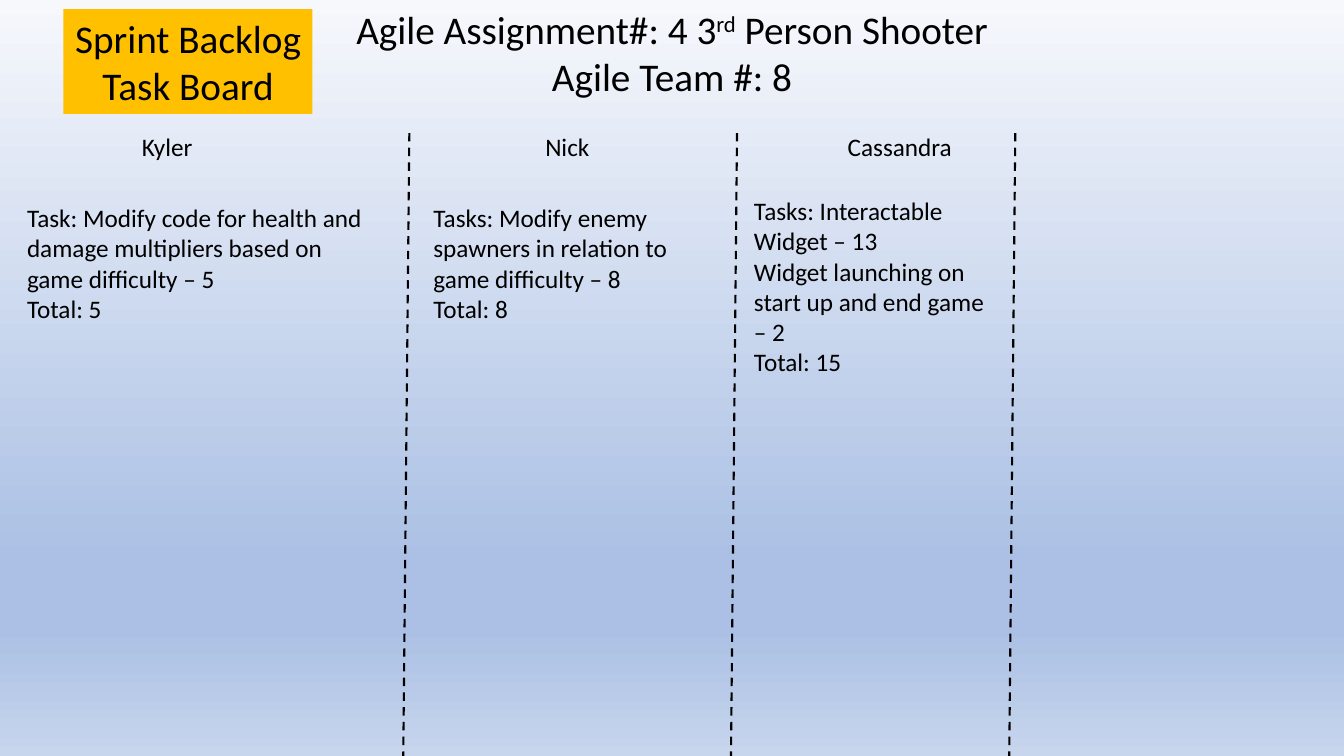
from dataclasses import dataclass

from lxml.etree import SubElement
from pptx import Presentation
from pptx.dml.color import RGBColor as RGB
from pptx.enum.dml import MSO_LINE as Dash
from pptx.enum.shapes import MSO_CONNECTOR as Link, MSO_SHAPE as Shape
from pptx.enum.text import MSO_ANCHOR as Anchor, PP_ALIGN as Align
from pptx.oxml.ns import qn
from pptx.util import Inches, Pt


@dataclass(frozen=True)
class Theme:
    """Colours, font and type sizes of the board."""
    font: str = "Calibri"
    ink: str = "000000"
    badge: str = "FFC000"
    sky: tuple = ((0, "F6F8FC"), (74, "ABC0E4"), (83, "ABC0E4"), (100, "C7D5ED"))
    head: int = 28
    body: int = 18
    rule: float = 1.5


class Board:
    """Holds the theme and the slide, and draws each kind of element."""

    def __init__(self, deck, theme):
        """Add a title-only slide."""
        self.theme = theme
        self.slide = deck.slides.add_slide(deck.slide_layouts[5])
        self.shapes = self.slide.shapes

    def sky(self):
        """Fill the background with a gradient from top to bottom."""
        fill = self.slide.background.fill
        fill.gradient()
        fill.gradient_angle = 270
        stops = next(self.slide.element.iter(qn("a:gsLst")))
        for old in list(stops):
            stops.remove(old)
        for pos, tint in self.theme.sky:
            stop = SubElement(stops, qn("a:gs"), pos=str(pos * 1000))
            SubElement(stop, qn("a:srgbClr"), val=tint)

    def label(self, frame, lines, size, align=Align.LEFT, wrap=True):
        """Set the lines of a frame; a line may be a list of runs."""
        frame.word_wrap = wrap
        frame.vertical_anchor = Anchor.TOP
        frame.text = "\n".join("".join(line) for line in lines)
        for para, line in zip(frame.paragraphs, lines):
            para.alignment = align
            if not isinstance(line, str):
                para.clear()
                for part in line:
                    para.add_run().text = part
            for run in para.runs:
                run.font.name = self.theme.font
                run.font.size = Pt(size)
                run.font.color.rgb = RGB.from_string(self.theme.ink)

    def title(self, box, lines):
        """Place and fill the title; return its frame."""
        shape = self.shapes.title
        shape.left, shape.top, shape.width, shape.height = map(Inches, box)
        self.label(shape.text_frame, lines, self.theme.head, Align.CENTER, False)
        return shape.text_frame

    def text(self, box, lines, wrap=True):
        """Add a body text box."""
        shape = self.shapes.add_textbox(*map(Inches, box))
        self.label(shape.text_frame, lines, self.theme.body, wrap=wrap)

    def badge(self, box, lines):
        """Add a filled label without outline."""
        shape = self.shapes.add_shape(Shape.RECTANGLE, *map(Inches, box))
        shape.shadow.inherit = False
        shape.fill.solid()
        shape.fill.fore_color.rgb = RGB.from_string(self.theme.badge)
        shape.line.fill.background()
        self.label(shape.text_frame, lines, self.theme.head, Align.CENTER, False)

    def rule(self, *ends):
        """Add a dashed divider."""
        link = self.shapes.add_connector(Link.STRAIGHT, *map(Inches, ends))
        link.line.color.rgb = RGB.from_string(self.theme.ink)
        link.line.width = Pt(self.theme.rule)
        link.line.dash_style = Dash.DASH
        SubElement(link.element.spPr, qn("a:effectLst"))


# Name, name left, task box, divider top x, task lines
LANES = [
    ("Kyler", 1.31, (0.17, 1.96, 3.54, 1.31), 4.06,
     ["Task: Modify code for health and damage multipliers "
      "based on game difficulty – 5", "Total: 5"]),
    ("Nick", 5.31, (4.2, 1.96, 2.81, 1.31), 7.31,
     ["Tasks: Modify enemy spawners in relation to game difficulty – 8",
      "Total: 8"]),
    ("Cassandra", 8.31, (7.38, 1.89, 2.57, 1.92), 10.07,
     ["Tasks: Interactable Widget – 13",
      "Widget launching on start up and end game – 2", "Total: 15"]),
]


def main():
    """Build the task board and save it."""
    deck = Presentation()
    deck.slide_width, deck.slide_height = Inches(13.33), Inches(7.5)
    board = Board(deck, Theme())
    board.sky()
    frame = board.title((3.38, 0, 6.57, 1.04), [
        ["Agile Assignment#: 4 3", "rd", " Person Shooter"], "Agile Team #: 8"])
    frame.paragraphs[0].runs[1].font._element.set("baseline", "30000")
    board.badge((0.63, 0.09, 2.47, 1.04), ["Sprint Backlog", "Task Board"])
    for name, left, box, edge, tasks in LANES:
        board.text((left, 1.25, 1.3, 0.4), [name], wrap=False)
        board.rule(edge, 1.32, edge - 0.06, 7.5)
        board.text(box, tasks)
    deck.save("out.pptx")


main()
